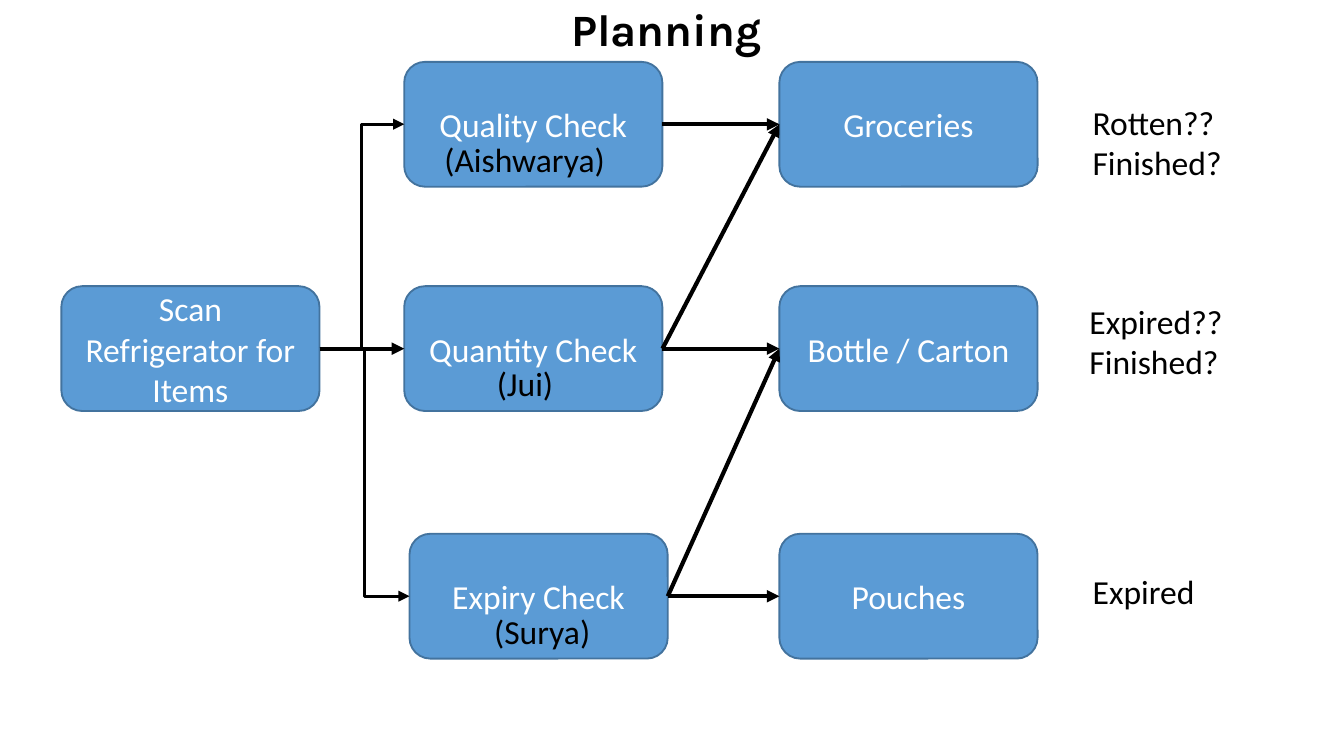
from lxml import etree
from pptx import Presentation
from pptx import util as u
from pptx.dml.color import RGBColor
from pptx.enum import shapes, text
from pptx.oxml import ns

BLUE = RGBColor(0x5B, 0x9B, 0xD5)
EDGE = RGBColor(0x43, 0x73, 0x9E)
BLACK = RGBColor(0, 0, 0)
WHITE = RGBColor(255, 255, 255)
BODY = {"size": u.Pt(18), "name": "Calibri", "bold": False}
TITLE = {"size": u.Pt(24), "name": "Karla", "bold": True}
BOX_W, BOX_H = 4.88, 2.36
ROWS = (1.17, 5.41, 10.09)
LEFT_SITE, RIGHT_SITE = 1, 3


def write(sp, lines, fmt, color, align, anchor):
    tf = sp.text_frame
    tf.word_wrap = True
    tf.vertical_anchor = anchor
    tf.text = "\n".join(lines)
    for p in tf.paragraphs:
        p.alignment = align
        for name, value in fmt.items():
            setattr(p.font, name, value)
        p.font.color.rgb = color


def arrow(s, kind, start, end, width):
    c = s.shapes.add_connector(kind, 0, 0, 0, 0)
    c.begin_connect(start, RIGHT_SITE)
    c.end_connect(end, LEFT_SITE)
    c.line.color.rgb = BLACK
    c.line.width = u.Pt(width)
    etree.SubElement(c.line._get_or_add_ln(), ns.qn("a:tailEnd"), type="triangle")
    etree.SubElement(c._element.spPr, ns.qn("a:effectLst"))


prs = Presentation()
prs.slide_width, prs.slide_height = u.Cm(25.4), u.Cm(14.29)
s = prs.slides.add_slide(prs.slide_layouts[5])

# Title
title = s.shapes.title
title.left, title.top, title.width, title.height = u.Cm(10.54), u.Cm(-0.1), u.Cm(4.98), u.Cm(1.27)
write(title, ["Planning"], TITLE, BLACK, text.PP_ALIGN.LEFT, text.MSO_ANCHOR.TOP)
title.text_frame.auto_size = text.MSO_AUTO_SIZE.NONE

# Boxes: start, checks, item types
boxes = {}
for label, x, row in (
    ("Scan Refrigerator for Items", 1.16, 1),
    ("Quality Check", 7.64, 0),
    ("Quantity Check", 7.64, 1),
    ("Expiry Check", 7.74, 2),
    ("Groceries", 14.73, 0),
    ("Bottle / Carton", 14.73, 1),
    ("Pouches", 14.73, 2),
):
    sp = s.shapes.add_shape(shapes.MSO_SHAPE.ROUNDED_RECTANGLE,
                            u.Cm(x), u.Cm(ROWS[row]), u.Cm(BOX_W), u.Cm(BOX_H))
    sp.shadow.inherit = False
    sp.fill.solid()
    sp.fill.fore_color.rgb = BLUE
    sp.line.color.rgb = EDGE
    sp.line.width = u.Pt(1)
    write(sp, [label], BODY, WHITE, text.PP_ALIGN.CENTER, text.MSO_ANCHOR.MIDDLE)
    boxes[label] = sp

# Arrows
STRAIGHT, ELBOW = shapes.MSO_CONNECTOR.STRAIGHT, shapes.MSO_CONNECTOR.ELBOW
scan = "Scan Refrigerator for Items"
for kind, start, end, width in (
    (STRAIGHT, "Quality Check", "Groceries", 2.25),
    (STRAIGHT, "Quantity Check", "Groceries", 2.25),
    (STRAIGHT, "Quantity Check", "Bottle / Carton", 2.25),
    (STRAIGHT, "Expiry Check", "Bottle / Carton", 2.25),
    (STRAIGHT, "Expiry Check", "Pouches", 2.25),
    (STRAIGHT, scan, "Quantity Check", 2.25),
    (ELBOW, scan, "Quality Check", 1.5),
    (ELBOW, scan, "Expiry Check", 1.5),
):
    arrow(s, kind, boxes[start], boxes[end], width)

# Outcomes and owners
for lines, x, y, w, h in (
    (["Rotten??", "Finished?"], 20.4, 1.8, 3.38, 1.8),
    (["Expired??", "Finished?"], 20.34, 5.56, 3.38, 1.8),
    (["Expired"], 20.4, 10.67, 3.38, 1.02),
    (["(Aishwarya)"], 8.15, 2.51, 4.06, 1.02),
    (["(Jui)"], 9.14, 6.73, 1.57, 1.02),
    (["(Surya)"], 9.09, 11.43, 2.34, 1.02),
):
    sp = s.shapes.add_textbox(u.Cm(x), u.Cm(y), u.Cm(w), u.Cm(h))
    write(sp, lines, BODY, BLACK, text.PP_ALIGN.LEFT, text.MSO_ANCHOR.TOP)
    sp.text_frame.auto_size = text.MSO_AUTO_SIZE.SHAPE_TO_FIT_TEXT

prs.save("out.pptx")
